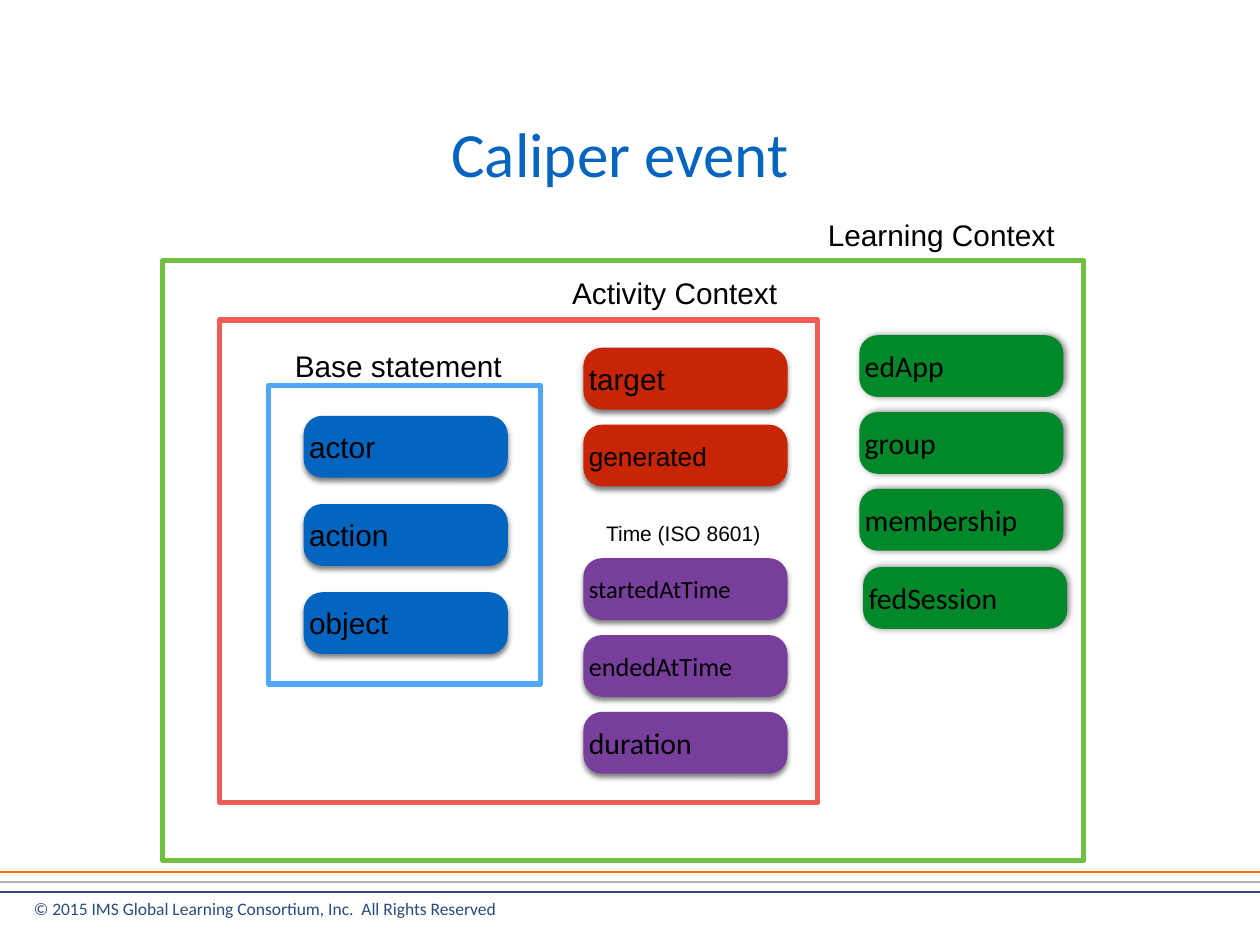
from dataclasses import dataclass

from lxml import etree
from pptx import Presentation
from pptx.dml.color import RGBColor
from pptx.enum.shapes import MSO_CONNECTOR, MSO_SHAPE
from pptx.enum.text import MSO_ANCHOR, MSO_AUTO_SIZE, PP_ALIGN
from pptx.oxml import parse_xml
from pptx.oxml.ns import nsdecls, qn
from pptx.util import Inches, Pt

LEFT, CENTER = PP_ALIGN.LEFT, PP_ALIGN.CENTER
TOP, MIDDLE = MSO_ANCHOR.TOP, MSO_ANCHOR.MIDDLE
FIT = MSO_AUTO_SIZE.SHAPE_TO_FIT_TEXT
RECT, ROUND = MSO_SHAPE.RECTANGLE, MSO_SHAPE.ROUNDED_RECTANGLE
STRAIGHT = MSO_CONNECTOR.STRAIGHT


@dataclass(frozen=True)
class Theme:
    sans: str = "Arial"
    body: str = "Calibri"
    ink: str = "000000"
    blue: str = "0365C0"
    red: str = "C82506"
    green: str = "00882B"
    purple: str = "773F9B"
    sky: str = "51A7F9"
    coral: str = "EC5D57"
    lime: str = "70BF41"
    orange: str = "FF6B06"
    gray: str = "B2B2B2"
    navy: str = "2A4B7E"
    title: int = 36
    label: int = 17
    mid: int = 15
    small: int = 14
    note: int = 12
    foot: int = 10


@dataclass(frozen=True)
class Shade:
    """Shadow blur and distance in points, direction in degrees."""
    blur: int
    dist: int
    angle: int


@dataclass(frozen=True)
class Pill:
    text: str
    left: float
    top: float
    fill: str
    font: str
    size: int
    shade: Shade


@dataclass(frozen=True)
class Frame:
    left: float
    top: float
    width: float
    height: float
    color: str


@dataclass(frozen=True)
class Label:
    text: str
    left: float
    top: float
    width: float
    height: float
    size: int
    wrap: bool = False


T = Theme()
DOWN, SIDE = Shade(3, 2, 90), Shade(4, 1, 0)
PILL_W, PILL_H = 1.62, 0.49


def write(shape, text: str, *, size: int, font: str, color: str = T.ink, align=LEFT,
          anchor=MIDDLE, pad: tuple = (0, 0), wrap: bool = True, fit: bool = False) -> None:
    frame = shape.text_frame
    frame.word_wrap = wrap
    if fit:
        frame.auto_size = FIT
    frame.vertical_anchor = anchor
    frame.margin_left = frame.margin_right = Inches(pad[0])
    frame.margin_top = frame.margin_bottom = Inches(pad[1])
    para = frame.paragraphs[0]
    para.alignment = align
    run = para.add_run()
    run.text = text
    run.font.size = Pt(size)
    run.font.name = font
    run.font.color.rgb = RGBColor.from_string(color)


def add_text(slide, left: float, top: float, width: float, height: float,
             text: str, **style) -> None:
    box = slide.shapes.add_textbox(Inches(left), Inches(top), Inches(width), Inches(height))
    write(box, text, **style)


def add_rule(slide, top: float, color: str) -> None:
    line = slide.shapes.add_connector(STRAIGHT, 0, Inches(top), Inches(10), Inches(top))
    line.line.color.rgb = RGBColor.from_string(color)
    line.line.width = Pt(1.5)
    etree.SubElement(line._element.spPr, qn("a:effectLst"))


def cast(shape, shade: Shade) -> None:
    """Give the shape an outer shadow."""
    shape.shadow.inherit = False
    effects = shape._element.spPr.find(qn("a:effectLst"))
    effects.append(parse_xml(
        f'<a:outerShdw {nsdecls("a")} blurRad="{Pt(shade.blur)}" dist="{Pt(shade.dist)}" '
        f'dir="{shade.angle * 60000}" rotWithShape="0"><a:srgbClr val="{T.ink}">'
        '<a:alpha val="50000"/></a:srgbClr></a:outerShdw>'))


def add_pill(slide, pill: Pill) -> None:
    shape = slide.shapes.add_shape(ROUND, Inches(pill.left), Inches(pill.top),
                                   Inches(PILL_W), Inches(PILL_H))
    shape.adjustments[0] = 0.3
    shape.fill.solid()
    shape.fill.fore_color.rgb = RGBColor.from_string(pill.fill)
    shape.line.fill.background()
    cast(shape, pill.shade)
    write(shape, pill.text, size=pill.size, font=pill.font)


def add_stack(slide, names: dict[str, int], left: float, top: float, step: float,
              fill: str, font: str, shade: Shade = DOWN) -> None:
    """Draw one column of pills; names maps each text to its type size."""
    for i, (name, size) in enumerate(names.items()):
        add_pill(slide, Pill(name, left, top + i * step, fill, font, size, shade))


def add_frame(slide, frame: Frame) -> None:
    shape = slide.shapes.add_shape(RECT, Inches(frame.left), Inches(frame.top),
                                   Inches(frame.width), Inches(frame.height))
    shape.shadow.inherit = False
    shape.fill.background()
    shape.line.color.rgb = RGBColor.from_string(frame.color)
    shape.line.width = Pt(3)


def add_label(slide, label: Label) -> None:
    add_text(slide, label.left, label.top, label.width, label.height, label.text,
             size=label.size, font=T.sans, pad=(0.04, 0.04), wrap=label.wrap, fit=True)


FRAMES = (
    Frame(1.29, 2.07, 7.31, 4.76, T.lime),
    Frame(1.74, 2.54, 4.75, 3.83, T.coral),
    Frame(2.13, 3.06, 2.16, 2.37, T.sky),
)
LABELS = (
    Label("Learning Context", 6.53, 1.68, 2.19, 0.36, T.label, wrap=True),
    Label("Activity Context", 4.5, 2.14, 1.72, 0.36, T.label),
    Label("Time (ISO 8601)", 4.77, 4.09, 1.32, 0.28, T.note),
    Label("Base statement", 2.3, 2.72, 1.74, 0.36, T.label),
)


def main() -> None:
    deck = Presentation()
    deck.slide_width, deck.slide_height = Inches(10), Inches(7.5)
    slide = deck.slides.add_slide(deck.slide_layouts[6])

    for top, color in ((6.92, T.orange), (7.08, T.navy), (7, T.gray)):
        add_rule(slide, top, color)
    add_text(slide, 0.17, 7.08, 4.92, 0.57,
             "© 2015 IMS Global Learning Consortium, Inc.  All Rights Reserved",
             size=T.foot, font=T.body, color=T.navy, anchor=TOP, pad=(0.1, 0.05))
    add_text(slide, 0.42, 0.58, 9, 1.25, "Caliper event", size=T.title,
             font=T.body, color=T.blue, align=CENTER, pad=(0.1, 0.05))

    base = dict.fromkeys(("actor", "action", "object"), T.label)
    add_stack(slide, base, 2.41, 3.3, 0.7, T.blue, T.sans)
    add_stack(slide, {"target": T.label, "generated": T.mid},
              4.63, 2.76, 0.61, T.red, T.sans)
    add_stack(slide, {"startedAtTime": T.small, "endedAtTime": T.mid, "duration": T.label},
              4.63, 4.43, 0.61, T.purple, T.body)
    tools = dict.fromkeys(("edApp", "group", "membership"), T.label)
    add_stack(slide, tools, 6.82, 2.66, 0.61, T.green, T.body, SIDE)
    add_pill(slide, Pill("fedSession", 6.85, 4.5, T.green, T.body, T.label, SIDE))

    for frame in FRAMES:
        add_frame(slide, frame)
    for label in LABELS:
        add_label(slide, label)
    deck.save("out.pptx")


if __name__ == "__main__":
    main()
